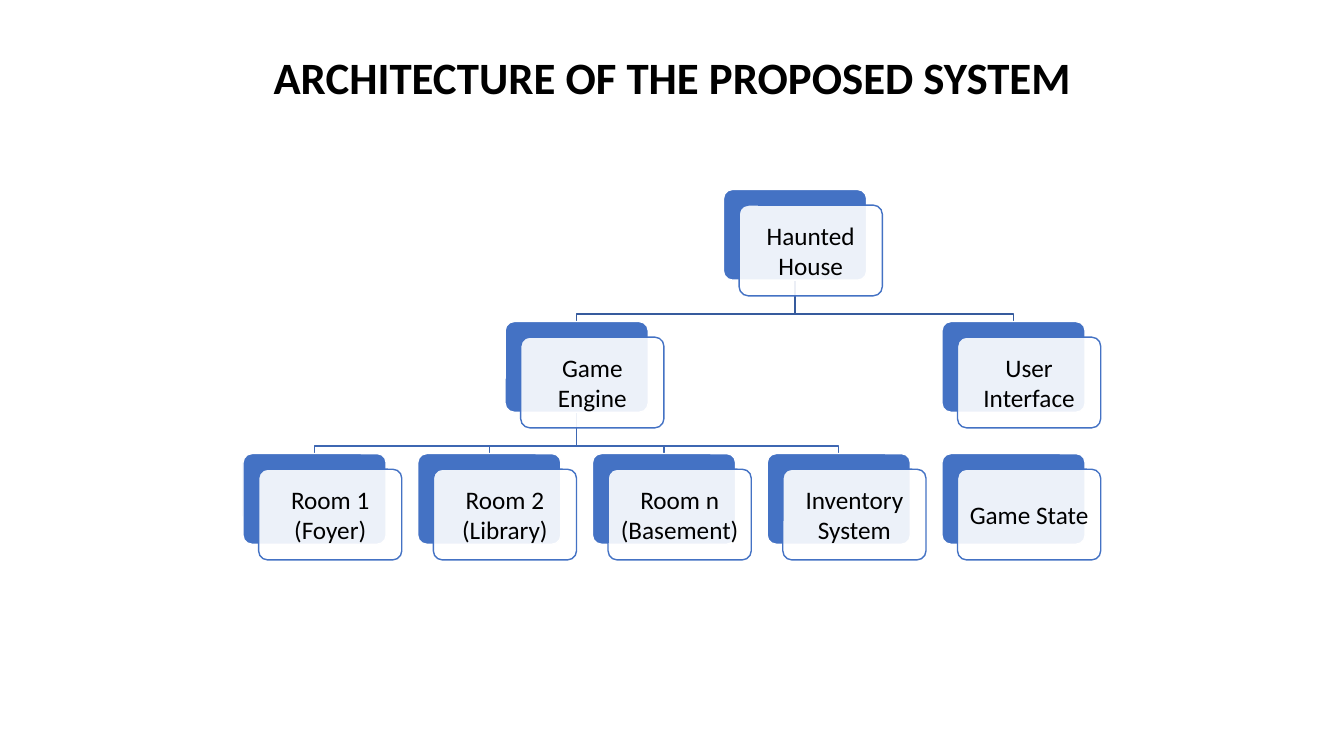
from pptx import Presentation
from pptx.dml.color import RGBColor
from pptx.enum.shapes import MSO_SHAPE as Shape
from pptx.enum.text import MSO_ANCHOR as Anchor, PP_ALIGN as Align
from pptx.oxml.xmlchemy import OxmlElement
from pptx.util import Inches, Pt

BLUE = RGBColor(0x44, 0x72, 0xC4)
UPPER_LINK = RGBColor(0x36, 0x5B, 0x9D)
LOWER_LINK = RGBColor(0x3E, 0x67, 0xB2)
WHITE = RGBColor(0xFF, 0xFF, 0xFF)
BLACK = RGBColor(0, 0, 0)

LEFT, TOP = 2.41, 1.88
COLUMN_STEP, ROW_STEP = 1.733, 1.31
CARD_WIDTH, CARD_HEIGHT = 1.42, 0.9
CARD_OFFSET = 0.155
LINK_BEND = 0.335

# Component: (column, row); a parent sits midway between its outer children.
COMPONENTS = {
    "Haunted House": (2.75, 0),
    "Game Engine": (1.5, 1),
    "User Interface": (4, 1),
    "Room 1 (Foyer)": (0, 2),
    "Room 2 (Library)": (1, 2),
    "Room n (Basement)": (2, 2),
    "Inventory System": (3, 2),
    "Game State": (4, 2),
}
CHILDREN = {
    "Haunted House": ("Game Engine", "User Interface"),
    "Game Engine": ("Room 1 (Foyer)", "Room 2 (Library)",
                    "Room n (Basement)", "Inventory System"),
}


def card_corner(component):
    column, row = COMPONENTS[component]
    return LEFT + column * COLUMN_STEP, TOP + row * ROW_STEP


def write(shape, text, size, bold=False, spacing=1.0, inset=0.1):
    frame = shape.text_frame
    frame.word_wrap = True
    frame.vertical_anchor = Anchor.MIDDLE
    frame.margin_left = frame.margin_right = Inches(inset)
    frame.margin_top = frame.margin_bottom = Inches(0.05)
    paragraph = frame.paragraphs[0]
    paragraph.alignment = Align.CENTER
    paragraph.line_spacing = spacing
    run = paragraph.add_run()
    run.text = text
    run.font.name = "Calibri"
    run.font.size = Pt(size)
    run.font.bold = bold
    run.font.color.rgb = BLACK


def add_title(slide, text):
    title = slide.shapes.add_textbox(Inches(2.17), Inches(0.21), Inches(9), Inches(0.83))
    write(title, text, size=32, bold=True, spacing=1.5)


def add_link(slide, parent, child, color):
    """Draw an elbow from the parent's bottom centre to the child's top centre."""
    parent_x, parent_y = card_corner(parent)
    child_x, child_y = card_corner(child)
    start_x, end_x = parent_x + CARD_WIDTH / 2, child_x + CARD_WIDTH / 2
    start_y = parent_y + CARD_HEIGHT
    bend_y = start_y + LINK_BEND
    route = [(start_x, bend_y), (end_x, bend_y), (end_x, child_y)]
    builder = slide.shapes.build_freeform(Inches(start_x), Inches(start_y))
    builder.add_line_segments([(Inches(x), Inches(y)) for x, y in route], close=False)
    link = builder.convert_to_shape()
    link.shadow.inherit = False
    link.fill.background()
    link.line.color.rgb = color
    link.line.width = Pt(1)


def add_panel(slide, x, y, fill, line, opacity=100):
    panel = slide.shapes.add_shape(Shape.ROUNDED_RECTANGLE, Inches(x), Inches(y),
                                   Inches(CARD_WIDTH), Inches(CARD_HEIGHT))
    panel.adjustments[0] = 0.1
    panel.shadow.inherit = False
    panel.fill.solid()
    panel.fill.fore_color.rgb = fill
    panel.line.color.rgb = line
    panel.line.width = Pt(1)
    if opacity < 100:
        alpha = OxmlElement("a:alpha")
        alpha.set("val", str(opacity * 1000))
        panel.fill._xPr.find(".//{*}solidFill/{*}srgbClr").append(alpha)
    return panel


def add_card(slide, component):
    x, y = card_corner(component)
    add_panel(slide, x, y, BLUE, WHITE)
    front = add_panel(slide, x + CARD_OFFSET, y + CARD_OFFSET, WHITE, BLUE, opacity=90)
    write(front, component, size=18, inset=0.04)


def main():
    deck = Presentation()
    deck.slide_width, deck.slide_height = Inches(13.33), Inches(7.5)
    slide = deck.slides.add_slide(deck.slide_layouts[6])
    add_title(slide, "ARCHITECTURE OF THE PROPOSED SYSTEM")
    for (parent, children), color in zip(CHILDREN.items(), (UPPER_LINK, LOWER_LINK)):
        for child in children:
            add_link(slide, parent, child, color)
    for component in COMPONENTS:
        add_card(slide, component)
    deck.save("out.pptx")


if __name__ == "__main__":
    main()
